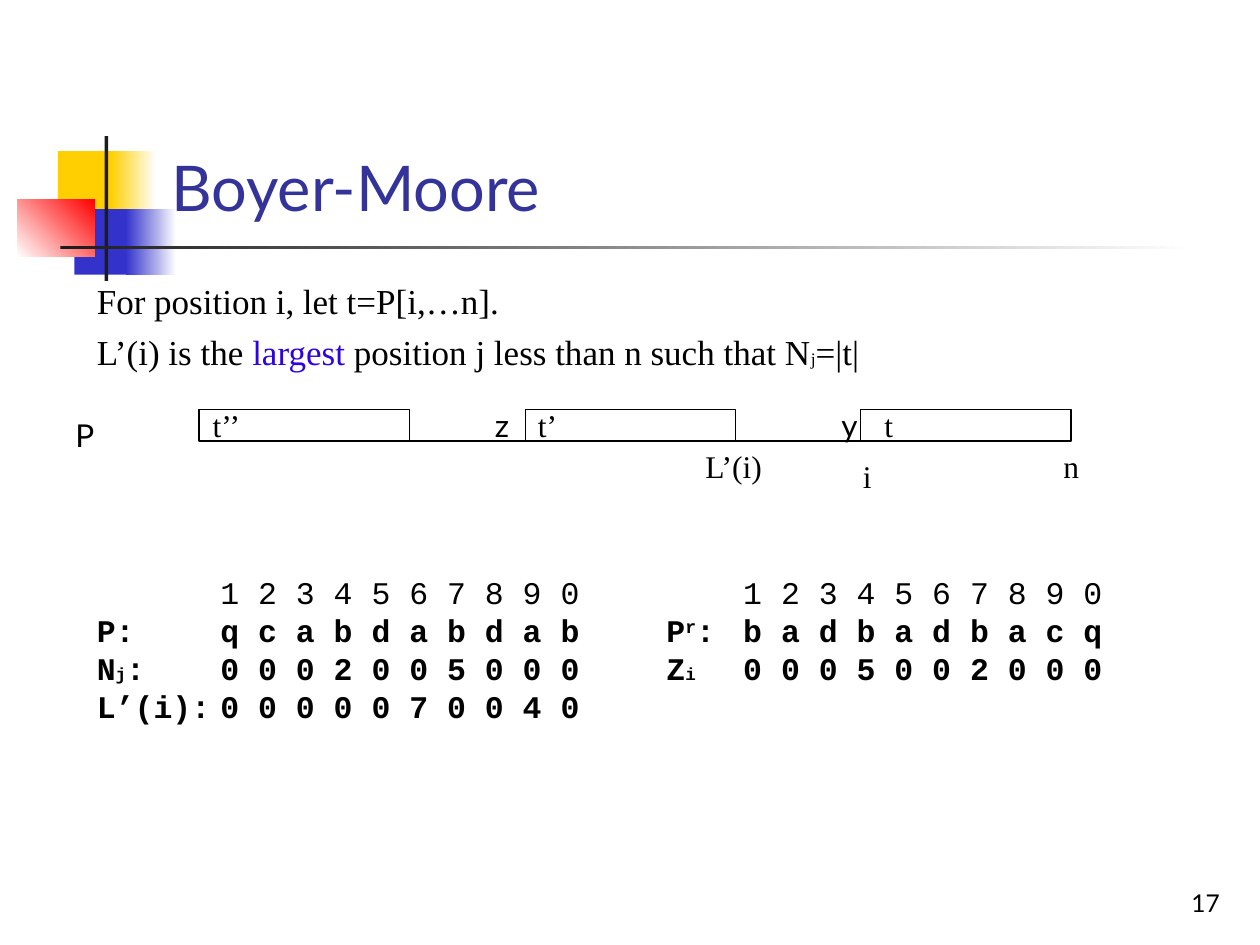
from lxml import etree
from pptx import Presentation
from pptx.dml.color import RGBColor
from pptx.enum import shapes, text
from pptx.oxml import ns
from pptx.util import Inches, Pt

COLORS = {
    "yellow": "FFCF01", "blue": "3333CC", "red": "FF0000", "dark": "1C1C1C",
    "white": "FFFFFF", "black": "000000", "title": "333399", "accent": "2D03E1",
}
SERIF, SANS, MONO = "Times New Roman", "Lato", "Courier New"

deck = Presentation()
deck.slide_width, deck.slide_height = Inches(10), Inches(7.5)
slide = deck.slides.add_slide(deck.slide_layouts[6])


def color(name):
    return RGBColor.from_string(COLORS[name])


def add_text(at, paragraphs, font=SERIF, size=18, fill="black", bold=False,
             align="LEFT", anchor="TOP", wrap=True, space=0, tabs=()):
    """Add a text box; a paragraph is a string or a list of (text, overrides) runs."""
    frame = slide.shapes.add_textbox(*map(Inches, at)).text_frame
    frame.word_wrap = wrap
    frame.vertical_anchor = getattr(text.MSO_ANCHOR, anchor)
    for index, runs in enumerate(paragraphs):
        para = frame.add_paragraph() if index else frame.paragraphs[0]
        para.alignment = getattr(text.PP_ALIGN, align)
        if index and space:
            para.space_before = Pt(space)
        if tabs:
            tab_list = etree.SubElement(para._p.get_or_add_pPr(), ns.qn("a:tabLst"))
            for stop in tabs:
                etree.SubElement(tab_list, ns.qn("a:tab"), pos=str(Inches(stop)), algn="l")
        for words, own in [(runs, {})] if isinstance(runs, str) else runs:
            run = para.add_run()
            run.text = words
            run.font.name = font
            run.font.size = Pt(own.get("size", size))
            run.font.bold = own.get("bold", bold)
            run.font.color.rgb = color(own.get("fill", fill))
            if "baseline" in own:
                run.font._element.set("baseline", str(own["baseline"]))


# Corner ornament: start colour, end colour, angle
ornament = [
    ((0.46, 1.2, 0.48, 0.52), "yellow", None, 0),
    ((0.88, 1.2, 0.36, 0.52), "yellow", "white", 0),
    ((0.59, 1.66, 0.46, 0.52), "blue", None, 0),
    ((1, 1.66, 0.4, 0.52), "blue", "white", 0),
    ((0.14, 1.58, 0.61, 0.46), "white", "red", 45),
    ((0.83, 1.08, 0.03, 1.15), "dark", None, 0),
    ((0.48, 1.95, 9, 0.03), "dark", "white", 0),
]
for at, start, end, angle in ornament:
    block = slide.shapes.add_shape(shapes.MSO_SHAPE.RECTANGLE, *map(Inches, at))
    block.shadow.inherit = False
    block.line.fill.background()
    if end:
        block.fill.gradient()
        block.fill.gradient_angle = angle
        for stop, name in zip(block.fill.gradient_stops, (start, end)):
            stop.color.rgb = color(name)
    else:
        block.fill.solid()
        block.fill.fore_color.rgb = color(start)

add_text((7.7, 6.83, 2.08, 0.5), ["17"], font=SANS, size=14, align="RIGHT", anchor="BOTTOM")
add_text((1.26, 0.23, 8.52, 1.6), ["Boyer-Moore"], font=SANS, size=36, fill="title",
         anchor="BOTTOM")
small = {"size": 10}
add_text((0.67, 2.17, 9.13, 0.9), [
    "For position i, let t=P[i,…n].",
    [("L’(i) is the ", {}), ("largest", {"fill": "accent"}),
     (" position j less than n such that N", {}), ("j", small), ("=|t|", {})],
], size=20, space=5)

# Pattern P with its three matching parts
baseline = slide.shapes.add_connector(
    shapes.MSO_CONNECTOR.STRAIGHT, Inches(1.58), Inches(3.5), Inches(8.5), Inches(3.5))
baseline.line.color.rgb = color("black")
baseline.line.width = Pt(0.75)
etree.SubElement(baseline._element.spPr, ns.qn("a:effectLst"))
for left in (1.58, 4.17, 6.83):
    part = slide.shapes.add_shape(shapes.MSO_SHAPE.FLOWCHART_PROCESS, Inches(left),
                                  Inches(3.25), Inches(1.67), Inches(0.25))
    part.shadow.inherit = False
    part.fill.background()
    part.line.color.rgb = color("black")
    part.line.width = Pt(0.75)

labels = [
    ("P", 0.5, 3.25, 0.42, SANS), ("t’’", 1.59, 3.17, 0.43, SERIF),
    ("z", 3.83, 3.17, 0.31, SANS), ("t’", 4.17, 3.17, 0.35, SERIF),
    ("y", 6.58, 3.17, 0.33, SANS), ("t", 6.92, 3.17, 0.27, SERIF),
    ("L’(i)", 5.5, 3.5, 0.67, SERIF), ("i", 6.75, 3.58, 0.27, SERIF),
    ("n", 8.34, 3.5, 0.32, SERIF),
]
for label, left, top, width, font in labels:
    add_text((left, top, width, 0.4), [label], font=font, wrap=False)

# Worked example, aligned on tab stops
add_text((0.67, 4.5, 8.75, 1.9), [
    [("\t1 2 3 4 5 6 7 8 9 0\t\t1 2 3 4 5 6 7 8 9 0", {"bold": False})],
    [("P:\tq c a b d a b d a b\tP", {}), ("r", {"baseline": 30000}),
     (":\tb a d b a d b a c q", {})],
    [("N", {}), ("j", small), (":\t0 0 0 2 0 0 5 0 0 0\tZ", {}), ("i", small),
     ("\t0 0 0 5 0 0 2 0 0 0", {})],
    "L’(i):\t0 0 0 0 0 7 0 0 4 0",
], font=MONO, bold=True, tabs=(0.98, 4.52, 5.13))

deck.save("out.pptx")
